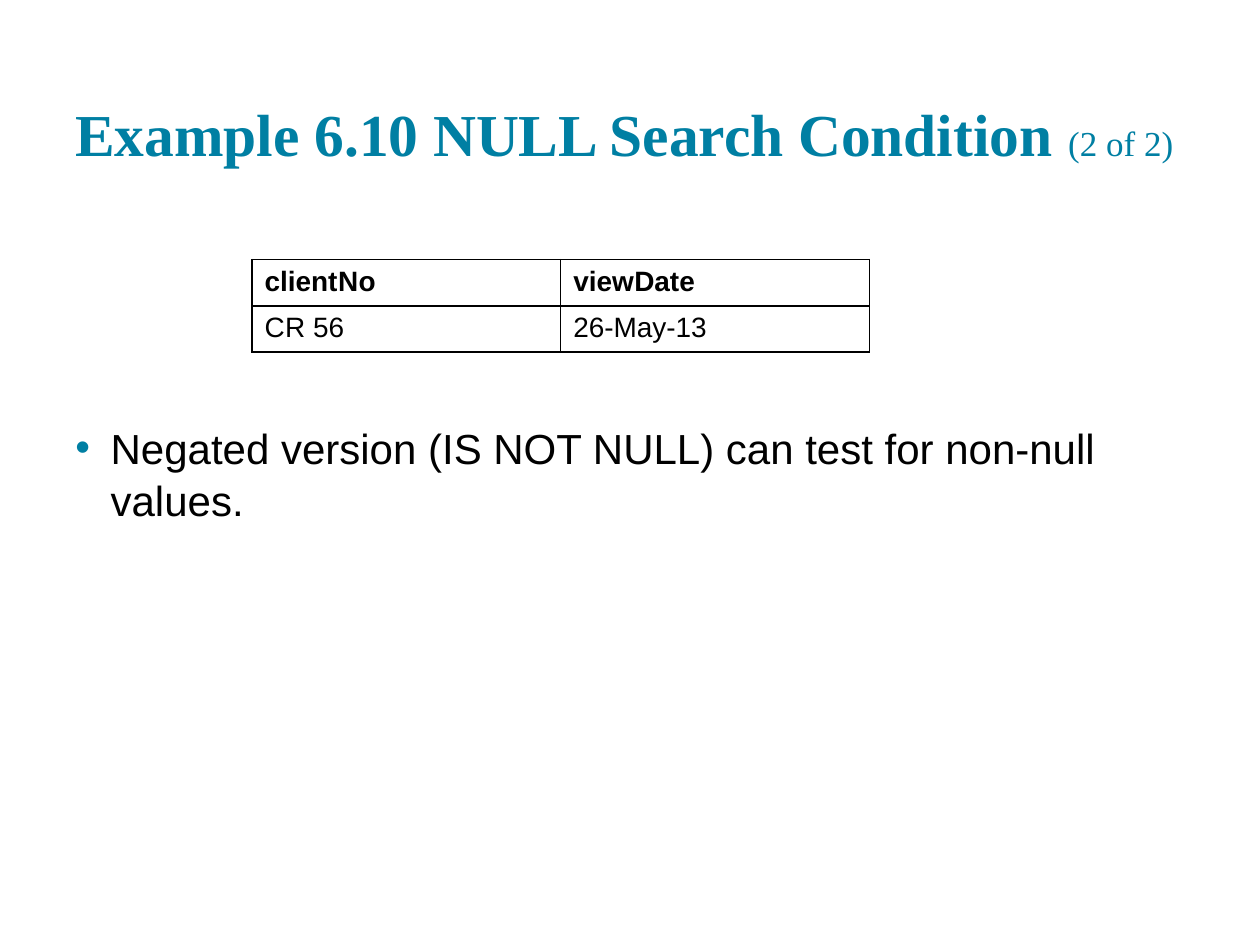
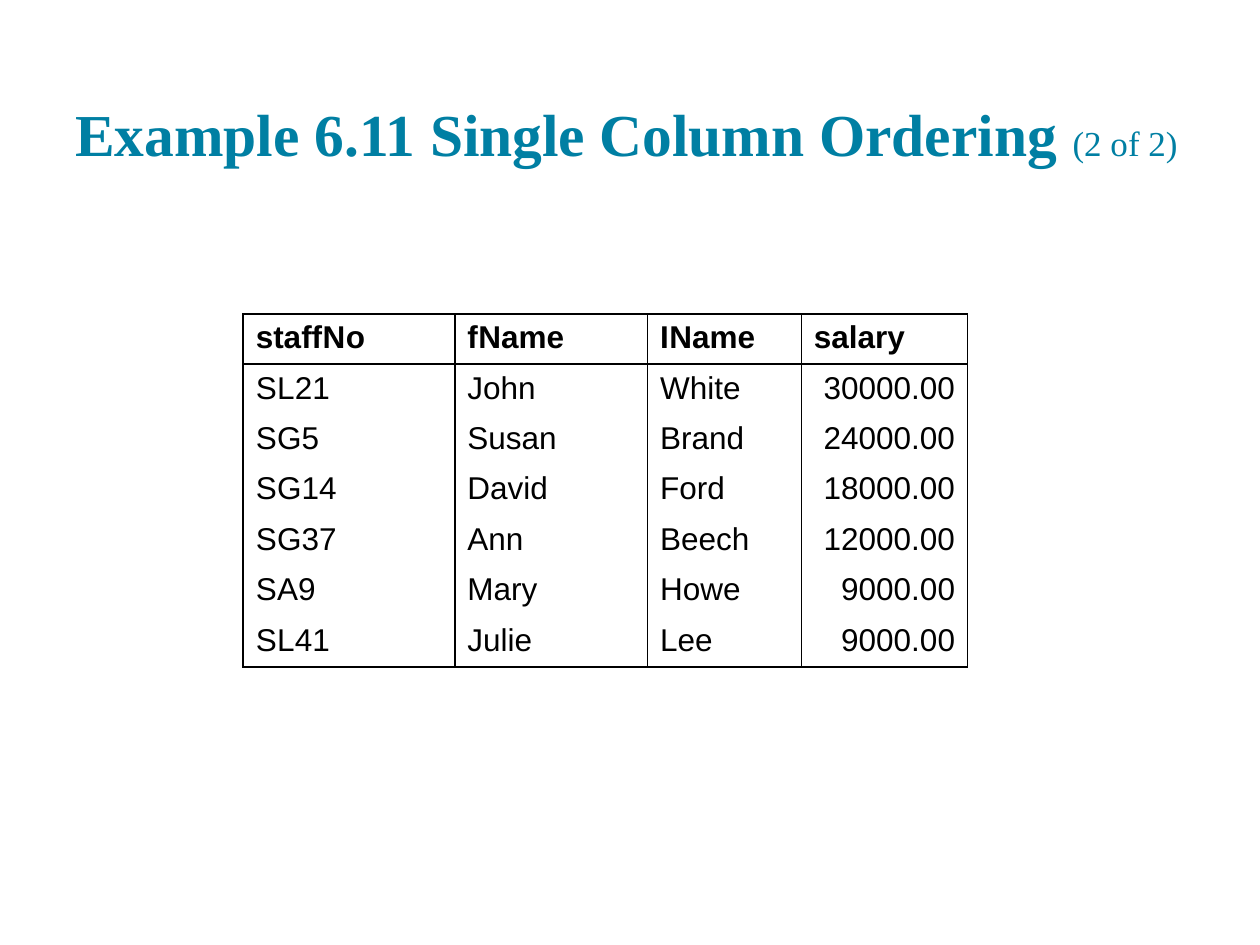
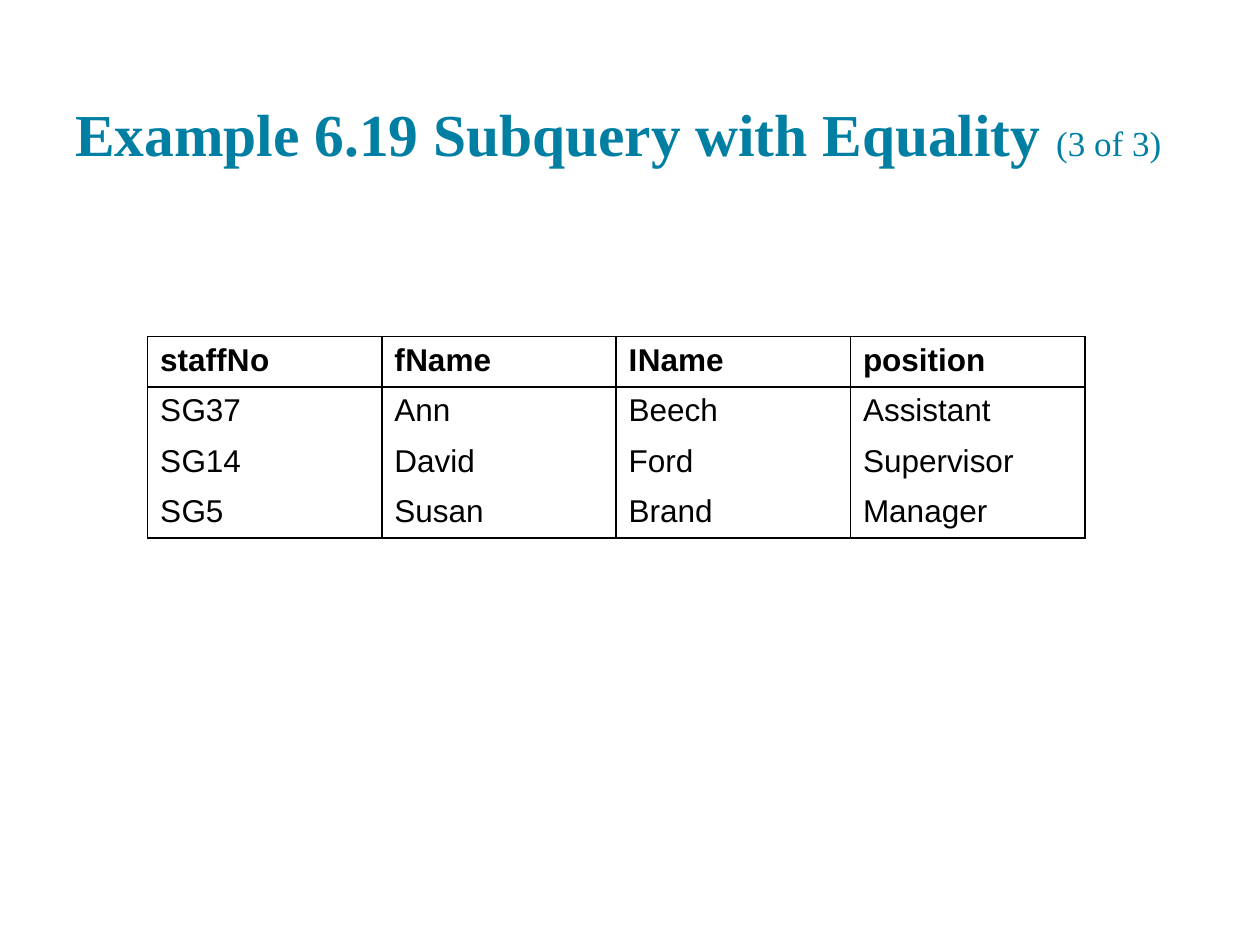
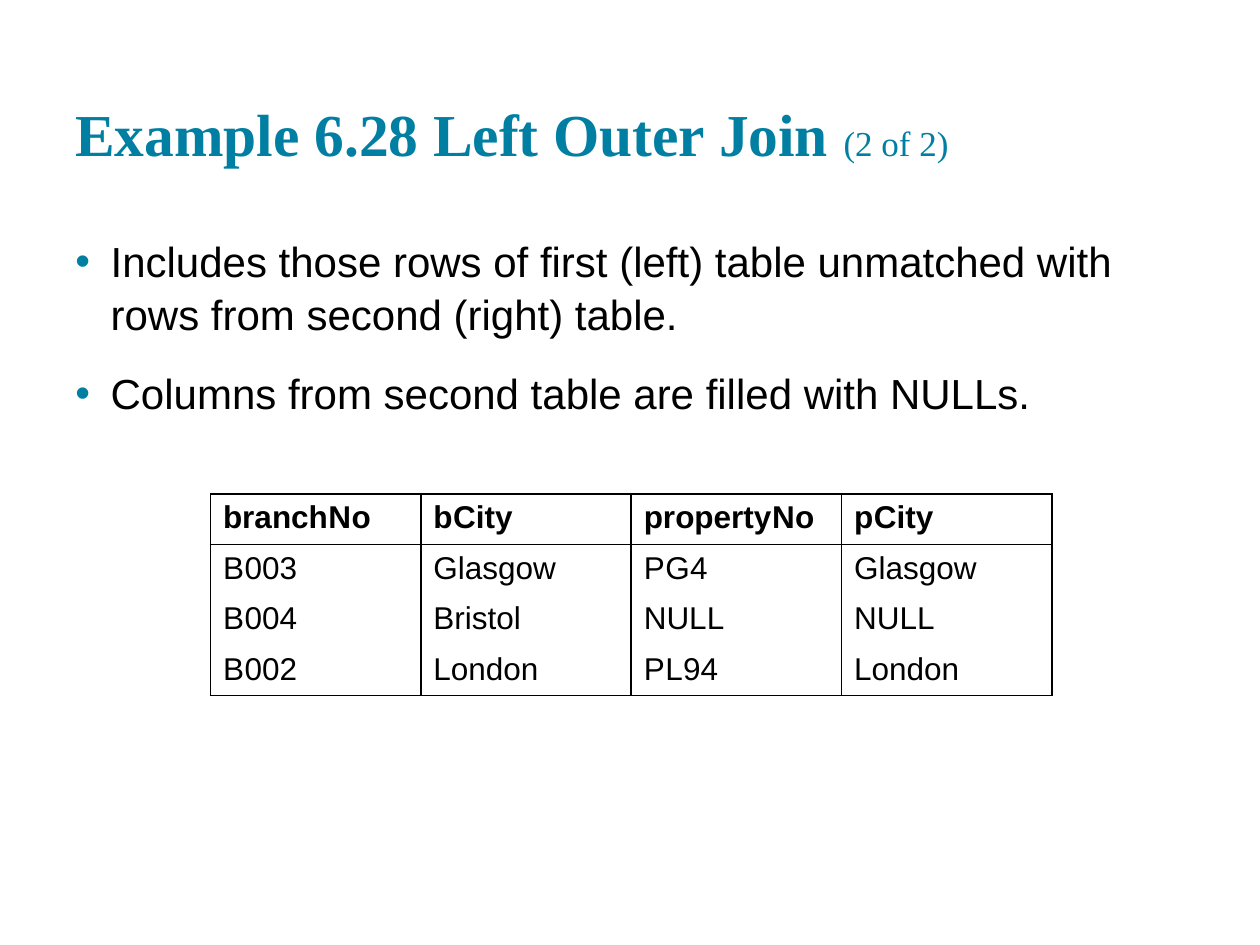
from lxml import etree
from pptx import Presentation, util as u
from pptx.dml.color import RGBColor
from pptx.enum import text
from pptx.oxml.ns import qn

TEAL = RGBColor(0x00, 0x7F, 0xA3)
BLACK = RGBColor(0, 0, 0)
WHITE = RGBColor(255, 255, 255)
TITLE_FONT = {"name": "Times New Roman", "color": TEAL}
BODY_FONT = {"name": "Arial", "color": BLACK}

WIDTH, HEIGHT = 10, 7.5
MARGIN = 0.5
TITLE_TOP, TITLE_HEIGHT = 0.24, 1.2
INDENT = 0.28
ROW_HEIGHTS = {16: 0.34, 18: 0.38}

# In table cells "|" stands for a hairline space between parts of a name.
SLIDES = [
    {
        "title": ("Example 6.10 NULL Search Condition", "(2 of 2)"),
        "table": {
            "left": 2, "top": 2.06, "columns": [2.45] * 2, "size": 16,
            "rows": [["client|N|o", "view|Date"],
                     ["C|R 56", "26-May-13"]],
        },
        "bullets": {
            "top": 3.23, "height": 0.96,
            "items": ["Negated version (IS NOT NULL) can test for non-null values."],
        },
    },
    {
        "title": ("Example 6.11 Single Column Ordering", "(2 of 2)"),
        "table": {
            "left": 1.93, "top": 2.49, "columns": [1.68, 1.53, 1.22, 1.32],
            "size": 18, "right_aligned": [3],
            "rows": [["staff|N|o", "f|Name", "I|Name", "salary"],
                     ["S|L21", "John", "White", "30000.00"],
                     ["S|G5", "Susan", "Brand", "24000.00"],
                     ["S|G14", "David", "Ford", "18000.00"],
                     ["S|G37", "Ann", "Beech", "12000.00"],
                     ["S|A9", "Mary", "Howe", "9000.00"],
                     ["S|L41", "Julie", "Lee", "9000.00"]],
        },
    },
    {
        "title": ("Example 6.19 Subquery with Equality", "(3 of 3)"),
        "table": {
            "left": 1.17, "top": 2.67, "columns": [1.86] * 4, "size": 18,
            "rows": [["staff|N|o", "f|Name", "I|Name", "position"],
                     ["S|G37", "Ann", "Beech", "Assistant"],
                     ["S|G14", "David", "Ford", "Supervisor"],
                     ["S|G5", "Susan", "Brand", "Manager"]],
        },
    },
    {
        "title": ("Example 6.28 Left Outer Join", "(2 of 2)"),
        "bullets": {
            "top": 1.75, "height": 1.69,
            "items": ["Includes those rows of first (left) table unmatched with "
                      "rows from second (right) table.",
                      "Columns from second table are filled with NULLs."],
        },
        "table": {
            "left": 1.67, "top": 3.92, "columns": [1.67] * 4, "size": 18,
            "rows": [["branch|N|o", "b|City", "property|N|o", "p|City"],
                     ["B|003", "Glasgow", "P|G|4", "Glasgow"],
                     ["B|004", "Bristol", "NULL", "NULL"],
                     ["B|002", "London", "P|L|94", "London"]],
        },
    },
]


def add_run(paragraph, words, size, bold=False, *, name, color):
    run = paragraph.add_run()
    run.text = words
    values = {"size": u.Pt(size), "bold": bold, "name": name}
    for key, value in values.items():
        setattr(run.font, key, value)
    run.font.color.rgb = color


def add_text_frame(slide, top, height, anchor):
    box = slide.shapes.add_textbox(u.Inches(MARGIN), u.Inches(top),
                                   u.Inches(WIDTH - 2 * MARGIN), u.Inches(height))
    values = {"word_wrap": True, "vertical_anchor": anchor}
    for side in ("left", "right", "top", "bottom"):
        values[f"margin_{side}"] = u.Inches(0.1)
    for key, value in values.items():
        setattr(box.text_frame, key, value)
    return box.text_frame


def add_title(slide, title):
    heading, part = title
    frame = add_text_frame(slide, TITLE_TOP, TITLE_HEIGHT, text.MSO_ANCHOR.BOTTOM)
    paragraph = frame.paragraphs[0]
    add_run(paragraph, heading + " ", 34, True, **TITLE_FONT)
    add_run(paragraph, part, 20, **TITLE_FONT)


def set_bullet(paragraph):
    properties = paragraph._p.get_or_add_pPr()
    properties.set("marL", str(u.Inches(INDENT)))
    properties.set("indent", str(-u.Inches(INDENT)))
    color = etree.SubElement(properties, qn("a:buClr"))
    etree.SubElement(color, qn("a:srgbClr"), val=str(TEAL))
    etree.SubElement(properties, qn("a:buFont"), typeface="Arial")
    etree.SubElement(properties, qn("a:buChar"), char="•")


def add_bullets(slide, top, height, items):
    frame = add_text_frame(slide, top, height, text.MSO_ANCHOR.TOP)
    for index, item in enumerate(items):
        paragraph = frame.add_paragraph() if index else frame.paragraphs[0]
        set_bullet(paragraph)
        paragraph.line_spacing = 1.05
        if index:
            paragraph.space_before = u.Pt(15)
        add_run(paragraph, item, 24, **BODY_FONT)


def set_borders(cell, sides):
    """Draw the given sides (letters of LRTB) and clear the others."""
    properties = cell._tc.get_or_add_tcPr()
    for index, side in enumerate("LRTB"):
        line = etree.Element(qn(f"a:ln{side}"), w=str(u.Pt(1)))
        if side in sides:
            fill = etree.SubElement(line, qn("a:solidFill"))
            etree.SubElement(fill, qn("a:srgbClr"), val=str(BLACK))
        else:
            etree.SubElement(line, qn("a:noFill"))
        properties.insert(index, line)


def fill_cell(cell, words, size, bold):
    cell.fill.solid()
    cell.fill.fore_color.rgb = WHITE
    paragraph = cell.text_frame.paragraphs[0]
    for index, part in enumerate(words.split("|")):
        if index:
            add_run(paragraph, " ", 1, bold, **BODY_FONT)
        add_run(paragraph, part, size, bold, **BODY_FONT)


def add_table(slide, left, top, columns, size, rows, right_aligned=()):
    """Rule off the header and the outside; body rows share open columns."""
    frame = slide.shapes.add_table(
        len(rows), len(columns), u.Inches(left), u.Inches(top),
        u.Inches(sum(columns)), u.Inches(ROW_HEIGHTS[size] * len(rows)))
    table = frame.table
    for column, width in zip(table.columns, columns):
        column.width = u.Inches(width)
    for r, row in enumerate(rows):
        sides = "LR" + "T" * (r <= 1) + "B" * (r in (0, len(rows) - 1))
        for c, words in enumerate(row):
            cell = table.cell(r, c)
            fill_cell(cell, words, size, bold=r == 0)
            set_borders(cell, sides)
            if r and c in right_aligned:
                cell.text_frame.paragraphs[0].alignment = text.PP_ALIGN.RIGHT


def main():
    presentation = Presentation()
    presentation.slide_width = u.Inches(WIDTH)
    presentation.slide_height = u.Inches(HEIGHT)
    builders = {"title": add_title,
                "table": lambda slide, values: add_table(slide, **values),
                "bullets": lambda slide, values: add_bullets(slide, **values)}
    for content in SLIDES:
        slide = presentation.slides.add_slide(presentation.slide_layouts[6])
        for part, values in content.items():
            builders[part](slide, values)
    presentation.save("out.pptx")


if __name__ == "__main__":
    main()
